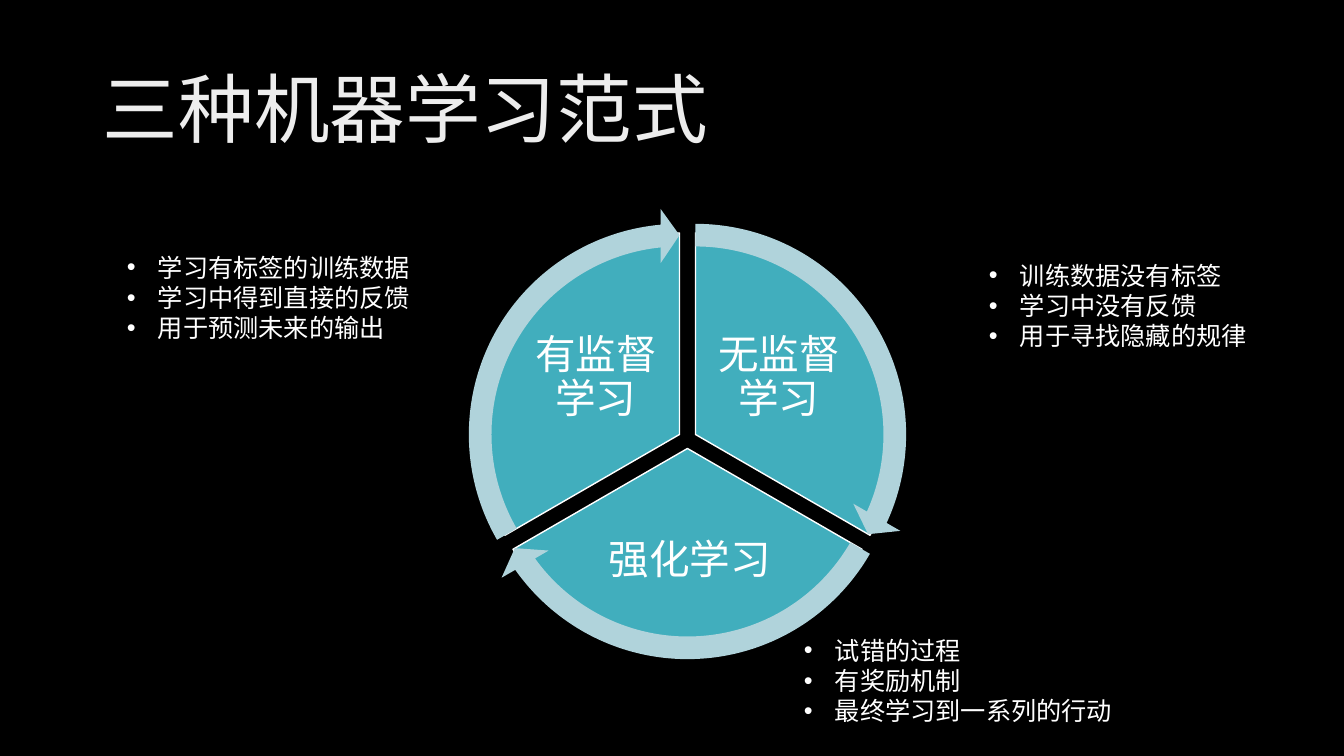
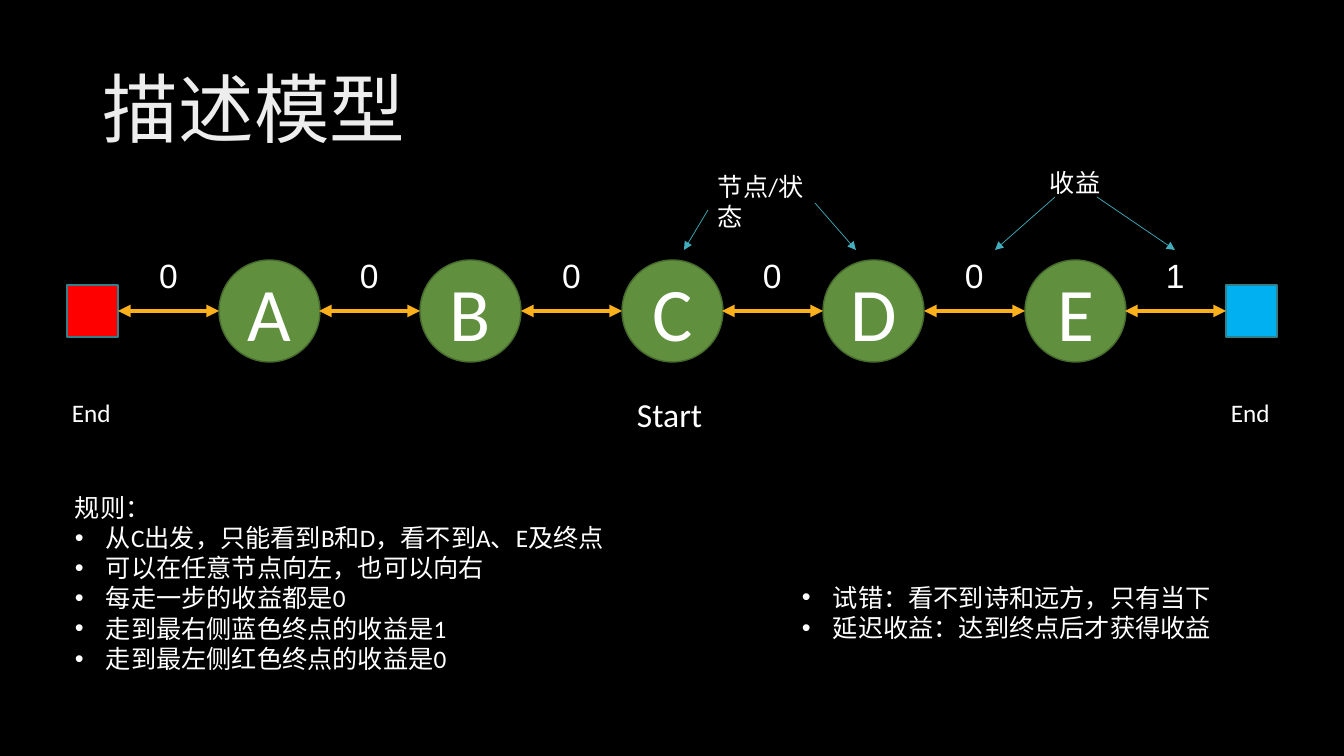
from lxml.etree import SubElement
from pptx import Presentation
from pptx.dml.color import RGBColor
from pptx.enum.shapes import MSO_CONNECTOR as Link, MSO_SHAPE as Shape
from pptx.enum.text import MSO_ANCHOR as Anchor, PP_ALIGN as Align
from pptx.oxml import parse_xml
from pptx.oxml.ns import nsdecls, qn
from pptx.util import Emu, Pt

COLORS = {
    "ground": "000000", "text": "FFFFFF",
    "wedge": "41AEBD", "cycle": "B0D3DB",
    "node": "608F3D", "node_edge": "476A2D",
    "red_end": "FF0000", "blue_end": "00B0F0", "end_edge": "30818C",
    "step": "FCB11C", "pointer": "41AEBD",
}
FORMATS = {
    "title": {"size": Pt(54), "name": "Calibri"},
    "wedge": {"size": Pt(29), "name": "Calibri"},
    "node": {"size": Pt(54), "name": "Calibri"},
    "reward": {"size": Pt(24), "name": "Arial"},
    "start": {"size": Pt(24), "name": "Calibri"},
    "body": {"size": Pt(18), "name": "Calibri"},
}
TITLE_STOPS = ((0, "BFBFBF"), (28000, "EDEDED"), (100000, "FFFFFF"))
TITLE_BOX = (93, 40, 1159, 146)
INDENT = 31


def px(length):
    return Emu(round(length * 914400 / 100.8))


def rgb(key):
    return RGBColor.from_string(COLORS[key])


def write(frame, lines, style, bullets_from=None, **paragraph_format):
    frame.word_wrap = True
    for index, line in enumerate(lines):
        paragraph = frame.paragraphs[0] if index == 0 else frame.add_paragraph()
        for attribute, value in paragraph_format.items():
            setattr(paragraph, attribute, value)
        if bullets_from is not None and index >= bullets_from:
            props = paragraph._p.get_or_add_pPr()
            props.set("marL", str(px(INDENT)))
            props.set("indent", str(-px(INDENT)))
            SubElement(props, qn("a:buFont")).set("typeface", "Arial")
            SubElement(props, qn("a:buChar")).set("char", "•")
        run = paragraph.add_run()
        run.text = line
        for attribute, value in FORMATS[style].items():
            setattr(run.font, attribute, value)
        run.font.color.rgb = rgb("text")


def add_text(slide, box, lines, style="body", margin=10, anchor=Anchor.TOP, **options):
    frame = slide.shapes.add_textbox(*map(px, box)).text_frame
    frame_format = {
        "margin_left": px(margin), "margin_right": px(margin),
        "margin_top": px(margin // 2), "margin_bottom": px(margin // 2),
        "vertical_anchor": anchor,
    }
    for attribute, value in frame_format.items():
        setattr(frame, attribute, value)
    write(frame, lines, style, **options)
    return frame


def add_figure(slide, preset, box, fill, edge=None, adjustments=()):
    figure = slide.shapes.add_shape(preset, *map(px, box))
    figure.shadow.inherit = False
    figure.fill.solid()
    figure.fill.fore_color.rgb = rgb(fill)
    if edge:
        figure.line.color.rgb = rgb(edge)
        figure.line.width = Pt(1)
    else:
        figure.line.fill.background()
    for index, value in enumerate(adjustments):
        figure.adjustments[index] = value
    return figure


def add_arrow(slide, start, end, color, width, heads):
    arrow = slide.shapes.add_connector(Link.STRAIGHT, *map(px, start + end))
    arrow.line.color.rgb = rgb(color)
    arrow.line.width = Pt(width)
    line = arrow.line._get_or_add_ln()
    for head in heads:
        SubElement(line, qn(head)).set("type", "triangle")
    SubElement(arrow._element.spPr, qn("a:effectLst"))


def add_titled_slide(deck, title):
    slide = deck.slides.add_slide(deck.slide_layouts[6])
    slide.background.fill.solid()
    slide.background.fill.fore_color.rgb = rgb("ground")
    frame = add_text(slide, TITLE_BOX, [title], "title", anchor=Anchor.MIDDLE, line_spacing=0.9)
    stops = "".join(
        f'<a:gs pos="{position}"><a:srgbClr val="{color}"/></a:gs>'
        for position, color in TITLE_STOPS
    )
    gradient = parse_xml(
        f'<a:gradFill {nsdecls("a")}><a:gsLst>{stops}</a:gsLst>'
        '<a:lin ang="4800000" scaled="0"/></a:gradFill>'
    )
    run_props = frame.paragraphs[0].runs[0].font._element
    run_props.replace(run_props.find(qn("a:solidFill")), gradient)
    return slide


def add_learning_cycle(slide, left, top):
    ring, wedge = 453, 403
    inset = (ring - wedge) // 2
    sectors = (
        ("无监督学习", 16, 0, (162, 18), (14.73, 161.99), (254, 110, 144, 120)),
        ("强化学习", 8, 14, (18, 90), (86.72, 18), (129, 300, 216, 106)),
        ("有监督学习", 0, 0, (90, 162), (158.73, 90), (71, 110, 144, 120)),
    )
    for label, dx, dy, angles, _, (x, y, width, height) in sectors:
        box = (left + dx + inset, top + dy + inset, wedge, wedge)
        add_figure(slide, Shape.PIE, box, "wedge", "text", angles)
        add_text(slide, (left + x, top + y, width, height), [label], "wedge", margin=4,
                 anchor=Anchor.MIDDLE, alignment=Align.CENTER, line_spacing=0.9)
    for _, dx, dy, _, (tip, tail), _ in sectors:
        add_figure(slide, Shape.CIRCULAR_ARROW, (left + dx, top + dy, ring, ring), "cycle",
                   adjustments=(0.05, 3.28, tip, tail, 0.06))


def add_state_chain(slide, left, top):
    end, node, height = 51, 101, 102
    middle = top + height // 2

    def shifted(step):
        return left + end + step * 403 // 2

    for x, fill in ((left, "red_end"), (shifted(5) + node, "blue_end")):
        add_figure(slide, Shape.RECTANGLE, (x, middle - 26, end, 52), fill, "end_edge")
        add_text(slide, (x - 5, top + 132, 62, 40), ["End"])
    for step, name in enumerate("ABCDE"):
        box = (shifted(step) + node, top, node, height)
        state = add_figure(slide, Shape.OVAL, box, "node", "node_edge")
        state.text_frame.vertical_anchor = Anchor.MIDDLE
        write(state.text_frame, [name], "node", alignment=Align.CENTER)
    for step, reward in enumerate("000001"):
        x = shifted(step)
        add_arrow(slide, (x, middle), (x + node, middle), "step", 3, ("a:headEnd", "a:tailEnd"))
        add_text(slide, (x + 31, top - 10, 39, 50), [reward], "reward")
    add_text(slide, (shifted(2) + node + 5, top + 129, 92, 50), ["Start"], "start")


def add_callout(slide, box, label, pointers):
    add_text(slide, box, [label])
    left, top = box[:2]
    for x1, y1, x2, y2 in pointers:
        add_arrow(slide, (left + x1, top + y1), (left + x2, top + y2),
                  "pointer", 0.5, ("a:tailEnd",))


def build_paradigms(deck):
    slide = add_titled_slide(deck, "三种机器学习范式")
    add_learning_cycle(slide, 453, 208)
    notes = (
        ((117, 247, 308, 102), ["学习有标签的训练数据", "学习中得到直接的反馈", "用于预测未来的输出"]),
        ((979, 255, 283, 102), ["训练数据没有标签", "学习中没有反馈", "用于寻找隐藏的规律"]),
        ((794, 630, 334, 102), ["试错的过程", "有奖励机制", "最终学习到一系列的行动"]),
    )
    for box, traits in notes:
        add_text(slide, box, traits, bullets_from=0)


def build_model(deck):
    slide = add_titled_slide(deck, "描述模型")
    add_state_chain(slide, 67, 260)
    rules = [
        "规则：",
        "从C出发，只能看到B和D，看不到A、E及终点",
        "可以在任意节点向左，也可以向右",
        "每走一步的收益都是0",
        "走到最右侧蓝色终点的收益是1",
        "走到最左侧红色终点的收益是0",
    ]
    add_text(slide, (65, 487, 562, 194), rules, bullets_from=1)
    lessons = ["试错：看不到诗和远方，只有当下", "延迟收益：达到终点后才获得收益"]
    add_text(slide, (792, 577, 434, 72), lessons, bullets_from=0)
    add_callout(slide, (708, 166, 129, 40), "节点/状态",
                ((0, 44, -24, 84), (107, 37, 148, 84)))
    add_callout(slide, (1040, 162, 72, 40), "收益",
                ((15, 35, -45, 88), (57, 35, 135, 88)))


def main():
    deck = Presentation()
    deck.slide_width, deck.slide_height = px(1344), px(756)
    build_paradigms(deck)
    build_model(deck)
    deck.save("out.pptx")


if __name__ == "__main__":
    main()
